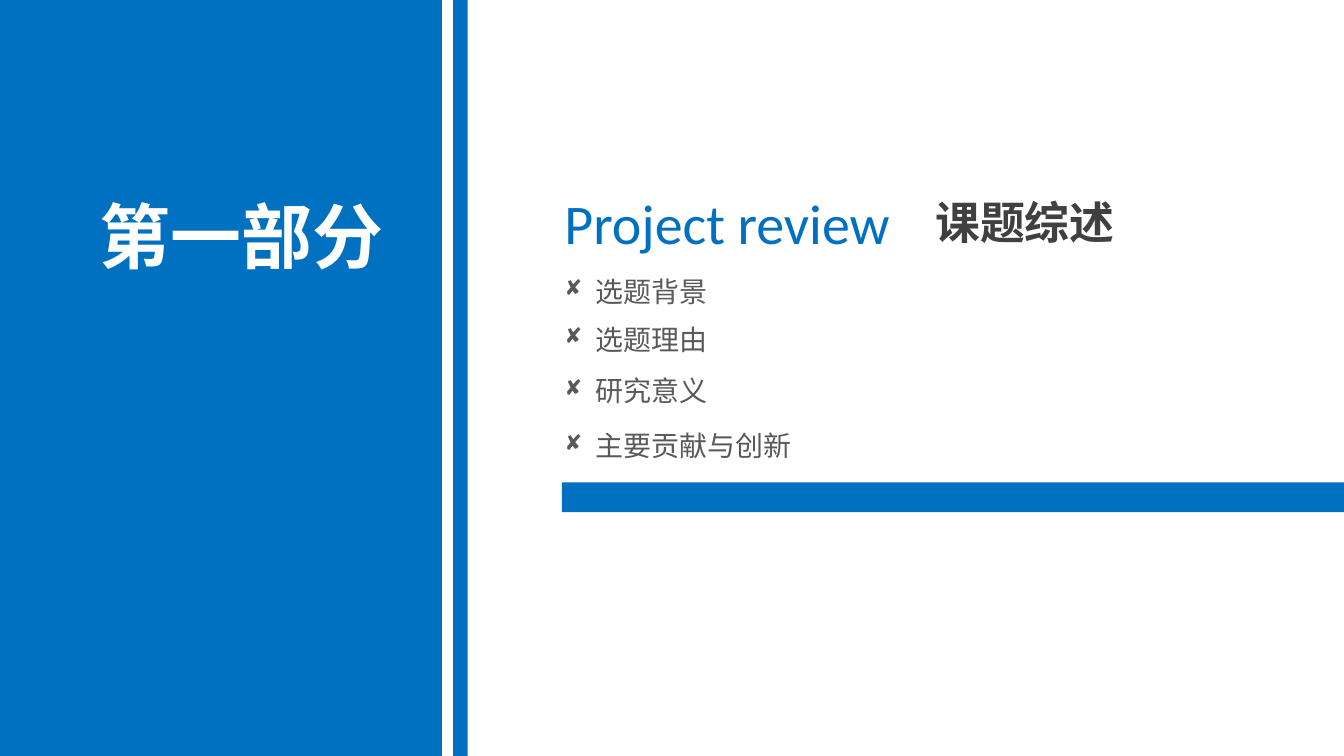
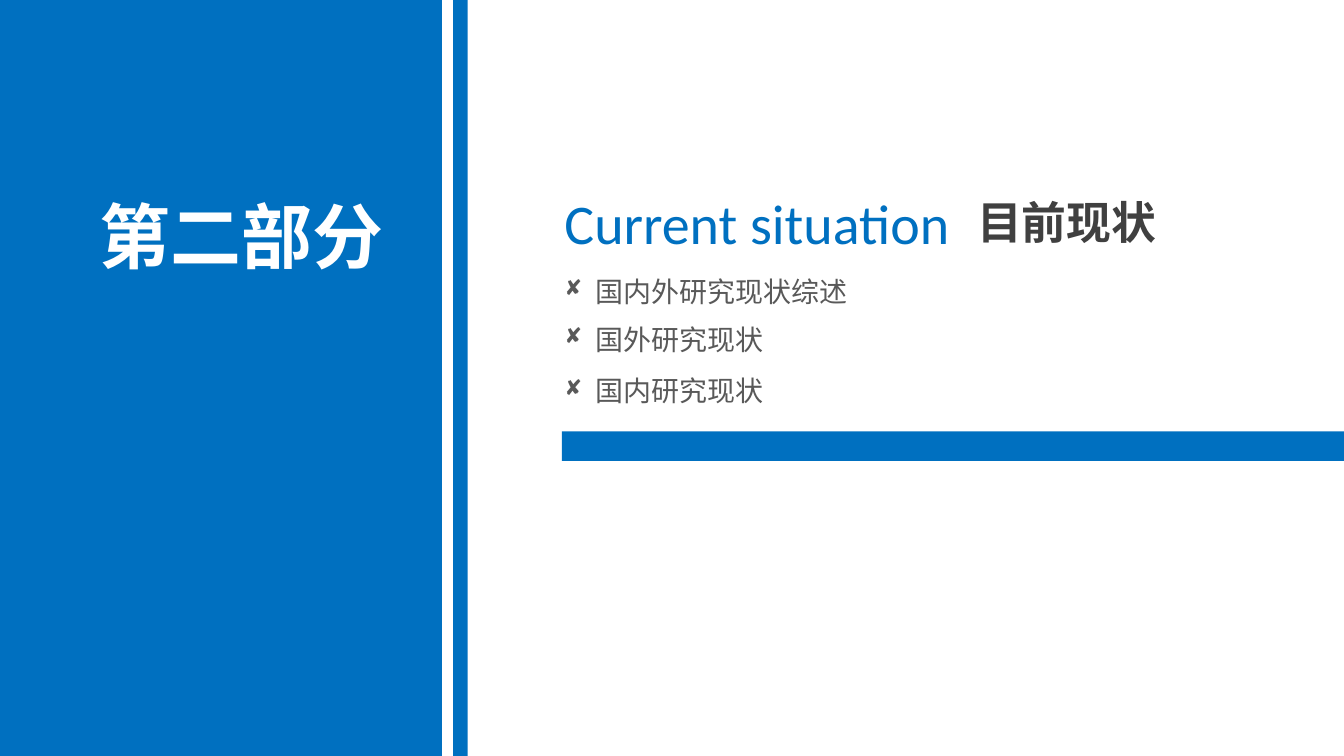
from lxml.etree import SubElement
from pptx import Presentation
from pptx.dml.color import RGBColor
from pptx.enum.shapes import MSO_SHAPE as Shape
from pptx.enum.text import MSO_AUTO_SIZE as AutoSize, PP_ALIGN as Align
from pptx.oxml.ns import qn
from pptx.util import Inches, Pt

COLORS = {"blue": "0070C0", "white": "FFFFFF", "heading": "404040", "body": "595959"}
FONT = "Calibri"
BULLET_FONT = "Wingdings"
WIDTH = 10
HEIGHT = WIDTH * 9 / 16
PANEL_LEFT = 3.48
TEXT_LEFT = 4.13
BAR_LEFT = 4.18
ITEM_TOPS = (2, 2.36, 2.74, 3.15)
ITEM_SIZE = 15
ITEM_INDENT = 0.23

SECTIONS = [
    {
        "part": "第一部分",
        "english": ("Project review", 2.64),
        "chinese": ("课题综述", 6.89),
        "items": ["选题背景", "选题理由", "研究意义", "主要贡献与创新"],
        "bar_top": 3.59,
    },
    {
        "part": "第二部分",
        "english": ("Current situation", 3.1),
        "chinese": ("目前现状", 7.2),
        "items": ["国内外研究现状综述", "国外研究现状", "国内研究现状"],
        "bar_top": 3.21,
    },
]


def color(name):
    """Return a palette colour."""
    return RGBColor.from_string(COLORS[name])


def add_band(slide, left, top, width, height, fill):
    """Add a plain filled rectangle without outline."""
    shape = slide.shapes.add_shape(
        Shape.RECTANGLE, Inches(left), Inches(top), Inches(width), Inches(height)
    )
    shape.shadow.inherit = False
    shape.fill.solid()
    shape.fill.fore_color.rgb = color(fill)
    shape.line.fill.background()


def add_text(slide, text, box, size, fill, bold=False, wrap=False, align=None):
    """Add a one-line text box and return its paragraph."""
    shape = slide.shapes.add_textbox(*map(Inches, box))
    frame = shape.text_frame
    frame.word_wrap = wrap
    frame.auto_size = AutoSize.SHAPE_TO_FIT_TEXT
    frame.margin_left = frame.margin_right = Inches(0.07)
    frame.margin_top = frame.margin_bottom = Inches(0.04)
    paragraph = frame.paragraphs[0]
    paragraph.alignment = align
    run = paragraph.add_run()
    run.text = text
    run.font.name = FONT
    run.font.size = Pt(size)
    run.font.bold = bold
    run.font.color.rgb = color(fill)
    return paragraph


def add_item(slide, text, top):
    """Add a list entry with a square bullet and a hanging indent."""
    width = 0.39 + len(text) * ITEM_SIZE / 72
    paragraph = add_text(slide, text, (TEXT_LEFT, top, width, 0.33), ITEM_SIZE, "body")
    properties = paragraph._p.get_or_add_pPr()
    properties.set("marL", str(Inches(ITEM_INDENT)))
    properties.set("indent", str(-Inches(ITEM_INDENT)))
    SubElement(properties, qn("a:buFont")).set("typeface", BULLET_FONT)
    SubElement(properties, qn("a:buChar")).set("char", "◻")


def add_frame(slide):
    """Set the blue background and the white content panel and stripe."""
    slide.background.fill.solid()
    slide.background.fill.fore_color.rgb = color("blue")
    add_band(slide, PANEL_LEFT, 0, WIDTH - PANEL_LEFT, HEIGHT, "white")
    add_band(slide, 3.29, 0, 0.08, HEIGHT, "white")


def add_section(presentation, section):
    """Add one section divider slide."""
    slide = presentation.slides.add_slide(presentation.slide_layouts[6])
    add_frame(slide)
    add_text(slide, section["part"], (0.43, 1.39, 2.74, 0.72), 38, "white",
             bold=True, wrap=True, align=Align.CENTER)
    for text, top in zip(section["items"], ITEM_TOPS):
        add_item(slide, text, top)
    english, english_width = section["english"]
    add_text(slide, english, (TEXT_LEFT, 1.36, english_width, 0.58), 30, "blue")
    chinese, chinese_left = section["chinese"]
    add_text(slide, chinese, (chinese_left, 1.41, 1.5, 0.48), 24, "heading", bold=True)
    add_band(slide, BAR_LEFT, section["bar_top"], WIDTH - BAR_LEFT, 0.22, "blue")


def main():
    """Build and save the section dividers."""
    presentation = Presentation()
    presentation.slide_width = Inches(WIDTH)
    presentation.slide_height = Inches(HEIGHT)
    for section in SECTIONS:
        add_section(presentation, section)
    presentation.save("out.pptx")


if __name__ == "__main__":
    main()
